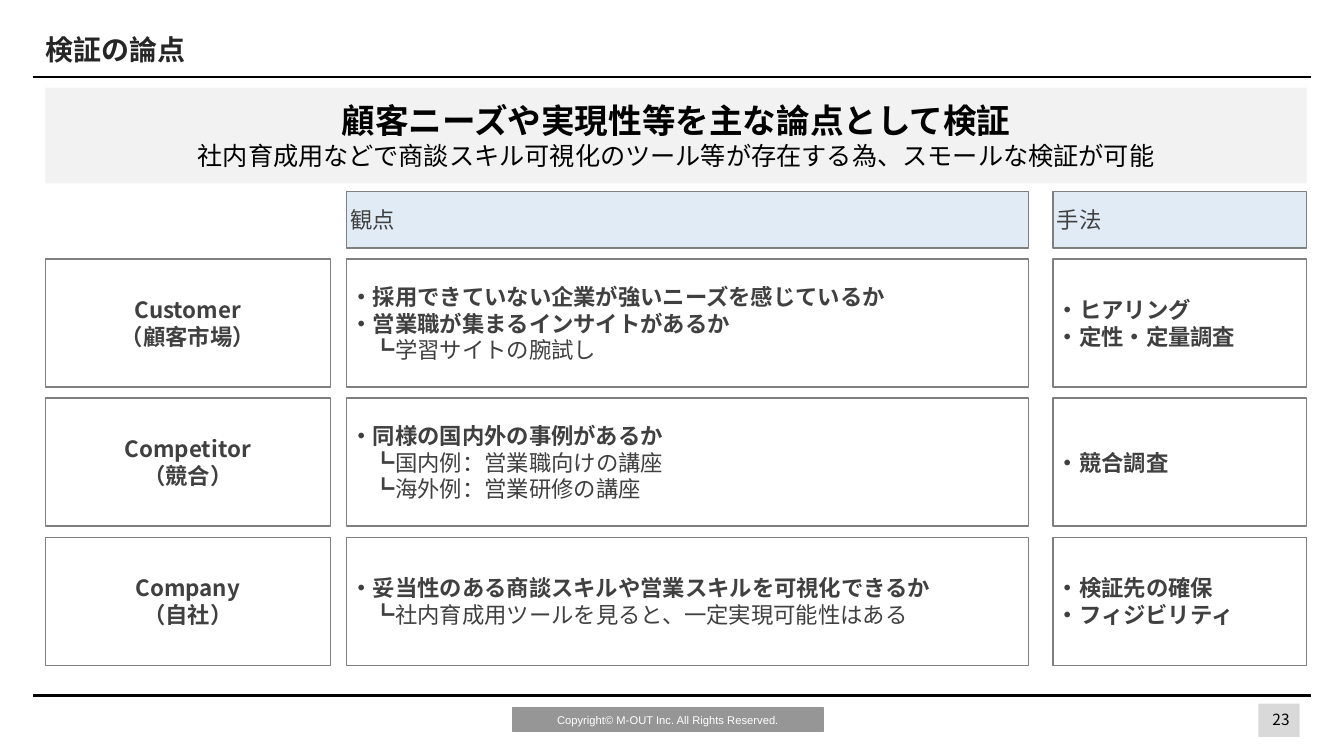
from pptx import Presentation
from pptx.dml.color import RGBColor
from pptx.enum.shapes import MSO_CONNECTOR, MSO_SHAPE
from pptx.enum.text import MSO_ANCHOR, PP_ALIGN
from pptx.oxml.ns import qn
from pptx.util import Inches, Pt

BLACK = RGBColor(0x00, 0x00, 0x00)
WHITE = RGBColor(0xFF, 0xFF, 0xFF)
TITLE_INK = RGBColor(0x26, 0x26, 0x26)
INK = RGBColor(0x40, 0x40, 0x40)
BORDER = RGBColor(0x7F, 0x7F, 0x7F)
HEADER_BLUE = RGBColor(0xE0, 0xEB, 0xF6)
BANNER_GRAY = RGBColor(0xF2, 0xF2, 0xF2)
PAGE_GRAY = RGBColor(0xD9, 0xD9, 0xD9)
FOOTER_GRAY = RGBColor(0x96, 0x96, 0x96)
JAPANESE_FONT = "Noto Sans CJK JP"

# Grid in inches: (left, width) of each column; rows share one gap.
COLUMNS = [(0.45, 2.83), (3.44, 6.77), (10.45, 2.52)]
HEADER_TOP, HEADER_HEIGHT = 1.9, 0.56
ROW_HEIGHT, ROW_GAP = 1.27, 0.11
CELL_INSET, TEXT_INSET = 0.04, 0.1

HEADERS = ["観点", "手法"]
ROWS = [
    (["Customer", "（顧客市場）"],
     ["・採用できていない企業が強いニーズを感じているか",
      "・営業職が集まるインサイトがあるか", "┗学習サイトの腕試し"],
     ["・ヒアリング", "・定性・定量調査"]),
    (["Competitor", "（競合）"],
     ["・同様の国内外の事例があるか", "┗国内例：営業職向けの講座",
      "┗海外例：営業研修の講座"],
     ["・競合調査"]),
    (["Company", "（自社）"],
     ["・妥当性のある商談スキルや営業スキルを可視化できるか",
      "┗社内育成用ツールを見ると、一定実現可能性はある"],
     ["・検証先の確保", "・フィジビリティ"]),
]


def write_text(shape, lines, inset=TEXT_INSET, align=PP_ALIGN.LEFT, font_name=JAPANESE_FONT):
    """Fill the shape with (text, size, bold, color) lines; ┗ lines are indented."""
    frame = shape.text_frame
    frame_format = {"word_wrap": True, "vertical_anchor": MSO_ANCHOR.MIDDLE,
                    "margin_left": Inches(inset), "margin_right": Inches(inset),
                    "margin_top": Inches(min(inset, 0.05)),
                    "margin_bottom": Inches(min(inset, 0.05))}
    for name, value in frame_format.items():
        setattr(frame, name, value)
    for index, (text, size, bold, color) in enumerate(lines):
        paragraph = frame.paragraphs[0] if index == 0 else frame.add_paragraph()
        paragraph.alignment = align
        if text.startswith("┗"):
            paragraph._p.get_or_add_pPr().set("marL", str(Pt(size)))
        run = paragraph.add_run()
        run.text = text
        for name, value in {"name": font_name, "size": Pt(size), "bold": bold}.items():
            setattr(run.font, name, value)
        run.font.color.rgb = color
        east_asian = run._r.get_or_add_rPr().makeelement(qn("a:ea"), {"typeface": font_name})
        run.font._element.find(qn("a:latin")).addnext(east_asian)


def add_box(left, top, width, height, fill, border=None):
    shape = slide.shapes.add_shape(MSO_SHAPE.RECTANGLE, Inches(left), Inches(top),
                                   Inches(width), Inches(height))
    shape.shadow.inherit = False
    shape.fill.solid()
    shape.fill.fore_color.rgb = fill
    if border is None:
        shape.line.fill.background()
    else:
        shape.line.color.rgb = border
        shape.line.width = Pt(1)
    return shape


presentation = Presentation()
presentation.slide_width = Inches(13.34)
presentation.slide_height = Inches(7.5)
slide = presentation.slides.add_slide(presentation.slide_layouts[5])

# Page frame
add_box(12.49, 6.98, 0.41, 0.33, PAGE_GRAY)
footer = add_box(5.09, 7.02, 3.08, 0.24, FOOTER_GRAY, FOOTER_GRAY)
write_text(footer, [("Copyright© M-OUT Inc. All Rights Reserved.", 8, False, WHITE)],
           align=PP_ALIGN.CENTER, font_name="Arial")
for rule_top in (0.76, 6.9):
    rule = slide.shapes.add_connector(MSO_CONNECTOR.STRAIGHT, Inches(0.33), Inches(rule_top),
                                      Inches(13.01), Inches(rule_top))
    rule.line.color.rgb = BLACK
    rule.line.width = Pt(1.5)
    properties = rule._element.spPr
    properties.append(properties.makeelement(qn("a:effectLst"), {}))
page_number = slide.shapes.add_textbox(Inches(12.56), Inches(6.99), Inches(0.31), Inches(0.3))
write_text(page_number, [("23", 11, False, BLACK)], inset=0, align=PP_ALIGN.CENTER)

# Title and key message
title = slide.shapes.title
title_place = {"left": 0.35, "top": 0.21, "width": 10, "height": 0.55}
for name, value in title_place.items():
    setattr(title, name, Inches(value))
write_text(title, [("検証の論点", 20, True, TITLE_INK)])
banner = add_box(0.45, 0.87, 12.52, 0.95, BANNER_GRAY)
write_text(banner, [
    ("顧客ニーズや実現性等を主な論点として検証", 24, True, BLACK),
    ("社内育成用などで商談スキル可視化のツール等が存在する為、スモールな検証が可能", 18, False, BLACK),
], align=PP_ALIGN.CENTER)

# Grid of viewpoints and methods
for (left, width), header in zip(COLUMNS[1:], HEADERS):
    box = add_box(left, HEADER_TOP, width, HEADER_HEIGHT, HEADER_BLUE, BORDER)
    write_text(box, [(header, 16, False, INK)], inset=CELL_INSET)

first_row_top = HEADER_TOP + HEADER_HEIGHT + ROW_GAP
for row_index, row in enumerate(ROWS):
    top = first_row_top + row_index * (ROW_HEIGHT + ROW_GAP)
    for column_index, ((left, width), texts) in enumerate(zip(COLUMNS, row)):
        box = add_box(left, top, width, ROW_HEIGHT, WHITE, BORDER)
        lines = [(text, 16, not text.startswith("┗"), INK) for text in texts]
        align = PP_ALIGN.CENTER if column_index == 0 else PP_ALIGN.LEFT
        write_text(box, lines, inset=CELL_INSET, align=align)

presentation.save("out.pptx")
